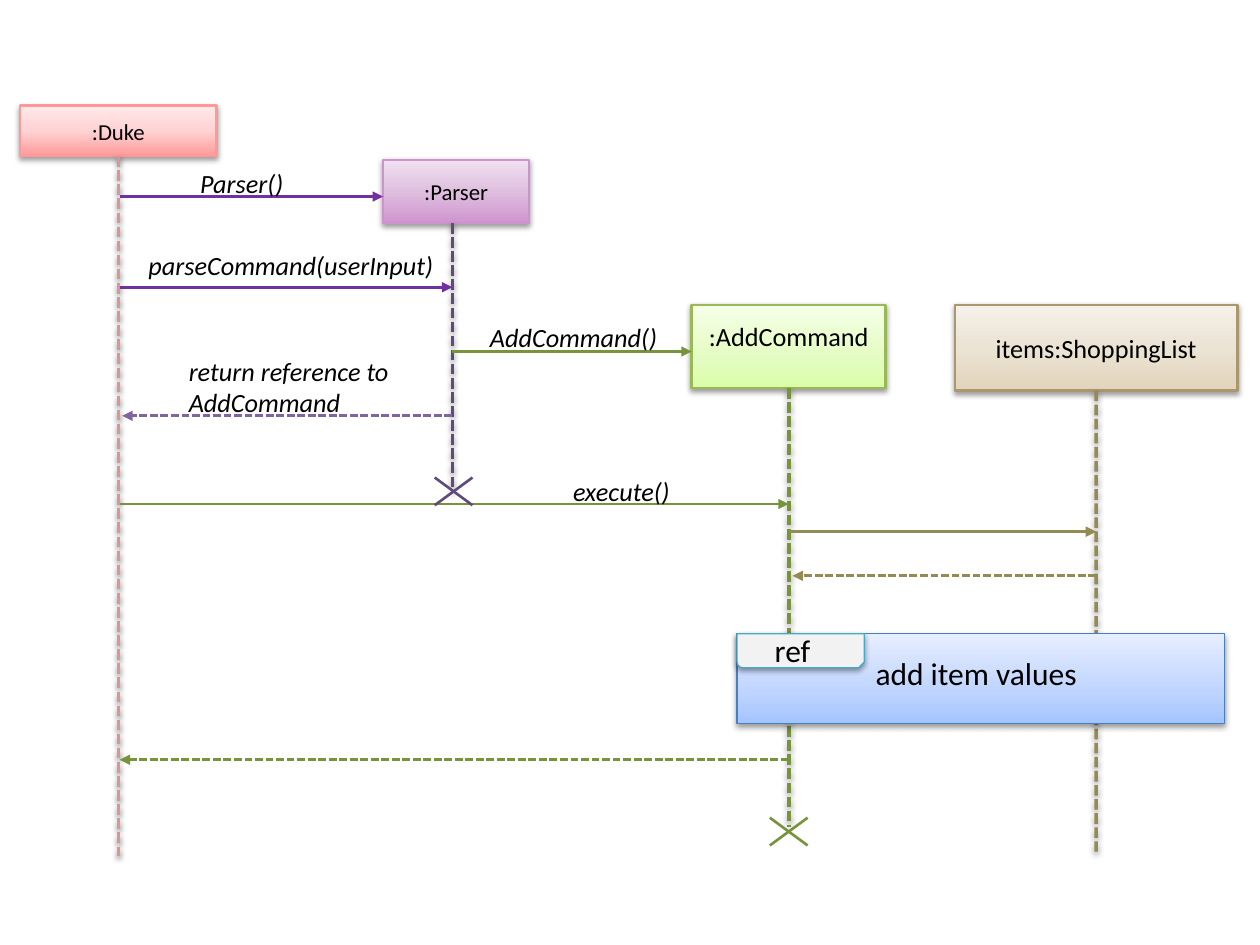
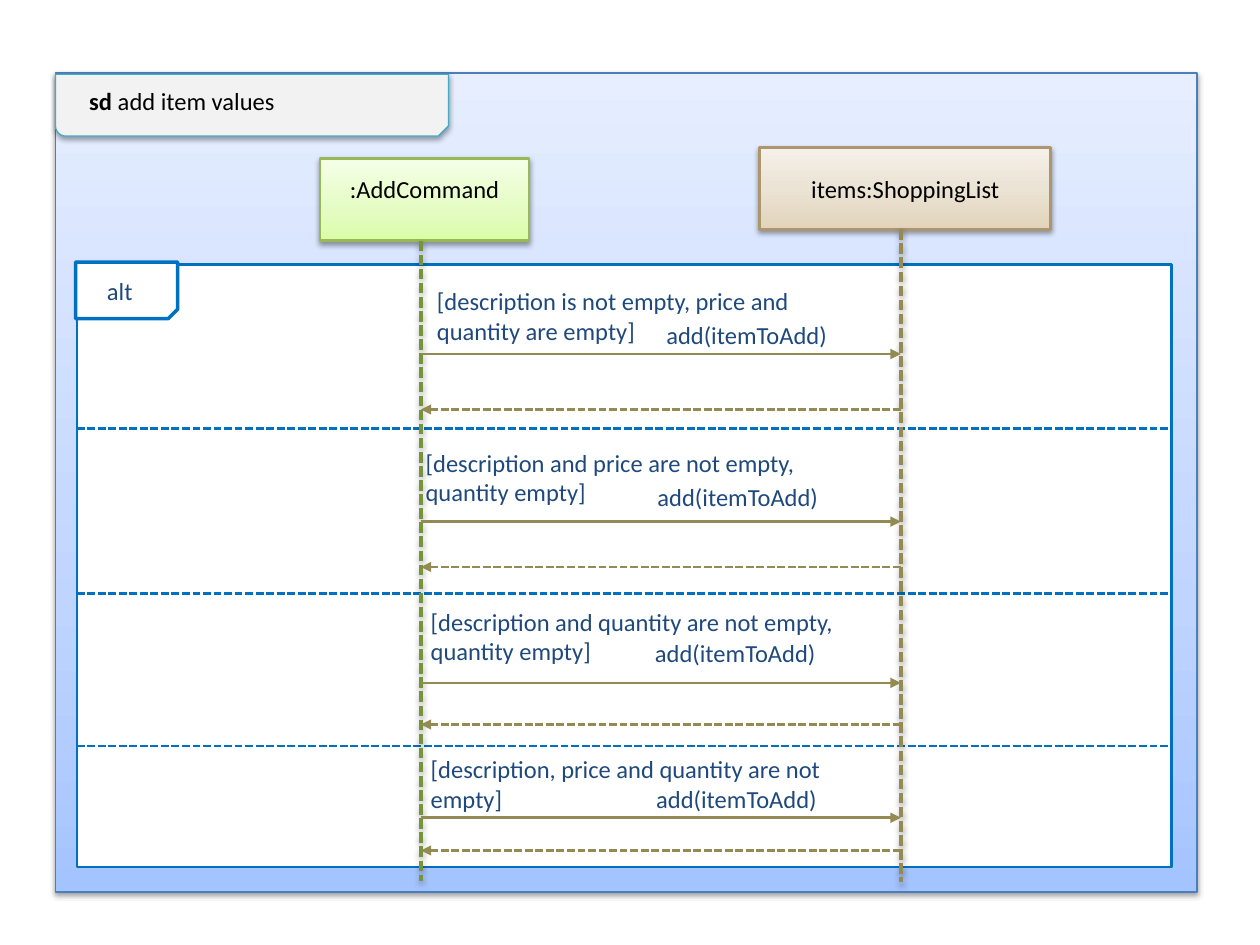
from copy import deepcopy

from lxml import etree
from pptx import Presentation
from pptx.dml.color import RGBColor
from pptx.enum import dml, shapes, text
from pptx.oxml import ns
from pptx.util import Inches, Pt

COLORS = {
    "black": "000000", "white": "FFFFFF", "tab": "F2F2F2", "tab_line": "46AAC5",
    "alt": "0070C0", "guard": "1F497D", "duke": "D99694", "parser_call": "7030A0",
    "parser": "604A7B", "parser_return": "8064A2", "command": "77933C",
    "items": "948A54",
}
# Outline, outline width, then gradient stops from bottom to top
BOXES = {
    "duke": ("FF9999", 1.5, [(0, "FF9999"), (0.5, "FFD2D3"), (1, "FFE9E9")]),
    "parser": ("CF92CF", 1.5, [(0, "CF95CF"), (0.5, "DFBFDF"), (1, "EFE0EF")]),
    "command": ("98B955", 1.5, [(0, "DAFDA7"), (0.35, "E4FCC2"), (1, "F5FFE7")]),
    "items": ("AB966D", 1.5, [(0, "E2D4BC"), (0.5, "EBE3D4"), (1, "F5F1EA")]),
    "frame": ("4B7EBC", 0.75, [(0, "A4C4FF"), (0.35, "BFD4FF"), (1, "E6EEFF")]),
}
SHAPE = shapes.MSO_SHAPE
TOP, MIDDLE = text.MSO_ANCHOR.TOP, text.MSO_ANCHOR.MIDDLE


def rgb(color):
    return RGBColor.from_string(COLORS.get(color, color))


def add_shadow(effects):
    shadow = etree.SubElement(effects, ns.qn("a:outerShdw"), blurRad="40000",
                              dist="20000", dir="5400000", rotWithShape="0")
    black = etree.SubElement(shadow, ns.qn("a:srgbClr"), val=COLORS["black"])
    etree.SubElement(black, ns.qn("a:alpha"), val="38000")


class SequenceDiagram:
    font = "Calibri"

    def __init__(self, prs):
        self.prs = prs
        self.s = None

    def new_slide(self):
        self.s = self.prs.slides.add_slide(self.prs.slide_layouts[6])

    def style_text(self, p, size, color="black", italic=None):
        p.font.name, p.font.size = self.font, Pt(size)
        p.font.color.rgb = rgb(color)
        p.font.italic = italic

    def shape(self, kind, at, line, width, fill=None, shadow=True, flip=False):
        sp = self.s.shapes.add_shape(kind, *map(Inches, at))
        sp.line.color.rgb, sp.line.width = rgb(line), Pt(width)
        if fill:
            sp.fill.solid()
            sp.fill.fore_color.rgb = rgb(fill)
        sp.shadow.inherit = False
        if shadow:
            add_shadow(sp._element.spPr.find(ns.qn("a:effectLst")))
        if flip:
            sp._element.spPr.find(ns.qn("a:xfrm")).set("flipV", "1")
        return sp

    def box(self, style, at, name="", size=15, anchor=MIDDLE):
        """Gradient box with an optional centred name."""
        line, width, stops = BOXES[style]
        sp = self.shape(SHAPE.RECTANGLE, at, line, width)
        sp.fill.gradient()
        sp.fill.gradient_angle = 90
        first = sp._element.spPr.find(".//" + ns.qn("a:gs"))
        first.addnext(deepcopy(first))
        for stop, (position, color) in zip(sp.fill.gradient_stops, stops):
            stop.position, stop.color.rgb = position, rgb(color)
        if name:
            tf = sp.text_frame
            tf.word_wrap, tf.vertical_anchor = True, anchor
            if anchor == TOP:
                tf.margin_top = Inches(0.12)
            p = tf.paragraphs[0]
            p.text, p.alignment = name, text.PP_ALIGN.CENTER
            self.style_text(p, size)
        return sp

    def tab(self, at):
        """Grey corner tab of a frame."""
        self.shape(SHAPE.SNIP_ROUND_RECTANGLE, at, "tab_line", 0.75, "tab", flip=True)

    def label(self, words, at, size=15, color="black", italic=None, anchor=TOP, bold=""):
        """Text box; `bold` is a bold lead-in before the words."""
        tf = self.s.shapes.add_textbox(*map(Inches, at)).text_frame
        tf.word_wrap, tf.vertical_anchor = True, anchor
        p = tf.paragraphs[0]
        self.style_text(p, size, color, italic)
        if bold:
            r = p.add_run()
            r.text, r.font.bold = bold, True
        p.add_run().text = words

    def message(self, words, at):
        self.label(words, at, italic=True)

    def guard(self, words, at):
        self.label(words, at, 14, "guard", anchor=MIDDLE)

    def line(self, start, end, color, width=1.5, dashed=False, arrow=False, shadow=False):
        c = self.s.shapes.add_connector(shapes.MSO_CONNECTOR.STRAIGHT,
                                        *map(Inches, (*start, *end)))
        c.line.color.rgb, c.line.width = rgb(color), Pt(width)
        if dashed:
            c.line.dash_style = dml.MSO_LINE.SQUARE_DOT
        if arrow:
            etree.SubElement(c.line._get_or_add_ln(), ns.qn("a:tailEnd"), type="triangle")
        effects = etree.SubElement(c._element.spPr, ns.qn("a:effectLst"))
        if shadow:
            add_shadow(effects)
        return c

    def call(self, x1, x2, y, color):
        self.line((x1, y), (x2, y), color, arrow=True)

    def reply(self, x1, x2, y, color):
        self.line((x1, y), (x2, y), color, dashed=True, arrow=True)

    def lifeline(self, box, bottom, color, x=None):
        """Dashed line under a box, joined to it unless an own x is given."""
        top = (box.top + box.height) / Inches(1)
        centre = (box.left + box.width / 2) / Inches(1)
        at = x or centre
        c = self.line((at, top), (at, bottom), color, 2, dashed=True, shadow=True)
        if x is None:
            c.begin_connect(box, 2)

    def cross(self, x, y, color):
        """End of a lifeline."""
        for dy in (0.11, -0.11):
            self.line((x - 0.15, y - dy), (x + 0.15, y + dy), color)


def build_add_command(d):
    d.new_slide()
    duke_x, parser_x, command_x, items_x = 0.95, 3.59, 6.26, 8.7
    duke = d.box("duke", (0.16, 0.84, 1.56, 0.4), ":Duke", 13)
    parser = d.box("parser", (3.04, 1.27, 1.16, 0.5), ":Parser", 13)
    command = d.box("command", (5.49, 2.42, 1.54, 0.66), ":AddCommand", anchor=TOP)
    items = d.box("items", (7.58, 2.42, 2.24, 0.68), "items:ShoppingList")
    d.lifeline(duke, 6.79, "duke")
    d.lifeline(parser, 3.91, "parser", parser_x)
    d.lifeline(command, 6.56, "command")
    d.lifeline(items, 6.76, "items")

    d.call(duke_x, 3.04, 1.56, "parser_call")
    d.call(duke_x, parser_x, 2.28, "parser_call")
    d.call(parser_x, 5.49, 2.79, "command")
    d.reply(parser_x, 0.97, 3.3, "parser_return")
    d.call(duke_x, command_x, 4, "command")
    d.call(command_x, items_x, 4.22, "items")
    d.reply(items_x, 6.29, 4.57, "items")
    d.reply(command_x, duke_x, 6.03, "command")
    d.cross(3.6, 3.9, "parser")
    d.cross(command_x, 6.6, "command")

    d.message("Parser()", (1.49, 1.28, 1.29, 0.26))
    d.message("parseCommand(userInput)", (1.08, 1.93, 2.73, 0.26))
    d.message("AddCommand()", (3.79, 2.5, 1.54, 0.35))
    d.message("return reference to AddCommand", (1.4, 2.77, 1.87, 0.61))
    d.message("execute()", (4.45, 3.72, 0.97, 0.26))

    d.box("frame", (5.85, 5.03, 3.87, 0.71))
    d.tab((5.85, 5.03, 1.01, 0.27))
    d.label("ref", (6.05, 4.96, 0.62, 0.4), 18)
    d.label("add item values", (6.85, 5.14, 1.82, 0.4), 18)


def build_add_item_values(d):
    d.new_slide()
    command_x, items_x = 3.34, 7.15
    d.box("frame", (0.44, 0.58, 9.06, 6.5))
    d.tab((0.44, 0.59, 3.12, 0.49))
    d.label(" add item values", (0.61, 0.63, 5.69, 0.57), 14, bold="sd")
    d.shape(SHAPE.RECTANGLE, (0.61, 2.1, 8.69, 4.78), "alt", 1.5, "white", shadow=False)
    d.shape(SHAPE.SNIP_1_RECTANGLE, (0.6, 2.08, 0.81, 0.45), "alt", 2, "white",
            shadow=False, flip=True)
    d.guard("alt", (0.75, 2.01, 0.55, 0.6))
    for y in (3.4, 4.71, 5.92):
        d.line((0.61, y), (9.3, y), "alt", dashed=True)

    command = d.box("command", (2.54, 1.26, 1.66, 0.65), ":AddCommand", 14, TOP)
    items = d.box("items", (6.03, 1.17, 2.31, 0.65), "items:ShoppingList", 14)
    d.lifeline(items, 7, "items", items_x)
    d.lifeline(command, 6.99, "command", command_x)

    # Guard, its place, place of the call's label, heights of call and reply
    cases = [
        ("[description is not empty, price and quantity are empty]",
         (3.37, 2.28, 3.5, 0.45), (5.19, 2.45, 1.63, 0.41), 2.81, 3.25),
        ("[description and price are not empty, quantity empty]",
         (3.28, 3.56, 3.67, 0.45), (5.12, 3.7, 1.8, 0.49), 4.14, 4.5),
        ("[description and quantity are not empty, quantity empty]",
         (3.32, 4.79, 3.87, 0.52), (5.1, 4.99, 1.7, 0.38), 5.42, 5.75),
        ("[description, price and quantity are not empty]",
         (3.32, 6, 3.6, 0.44), (5.11, 6.14, 1.76, 0.39), 6.49, 6.75),
    ]
    for condition, guard_at, call_at, call_y, reply_y in cases:
        d.guard(condition, guard_at)
        d.guard("add(itemToAdd)", call_at)
        d.call(command_x, items_x, call_y, "items")
        d.reply(items_x, command_x, reply_y, "items")


def main():
    prs = Presentation()
    prs.slide_width, prs.slide_height = Inches(10), Inches(7.5)
    d = SequenceDiagram(prs)
    build_add_command(d)
    build_add_item_values(d)
    prs.save("out.pptx")


if __name__ == "__main__":
    main()
